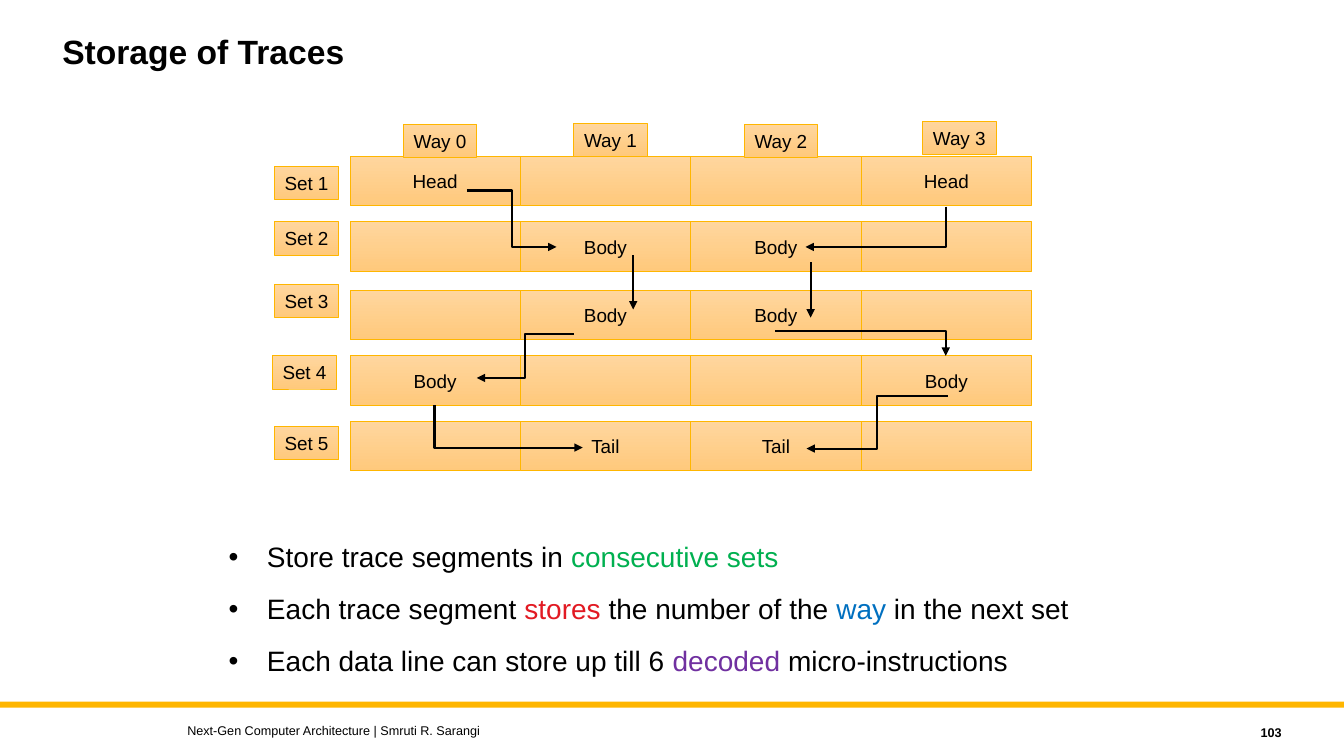
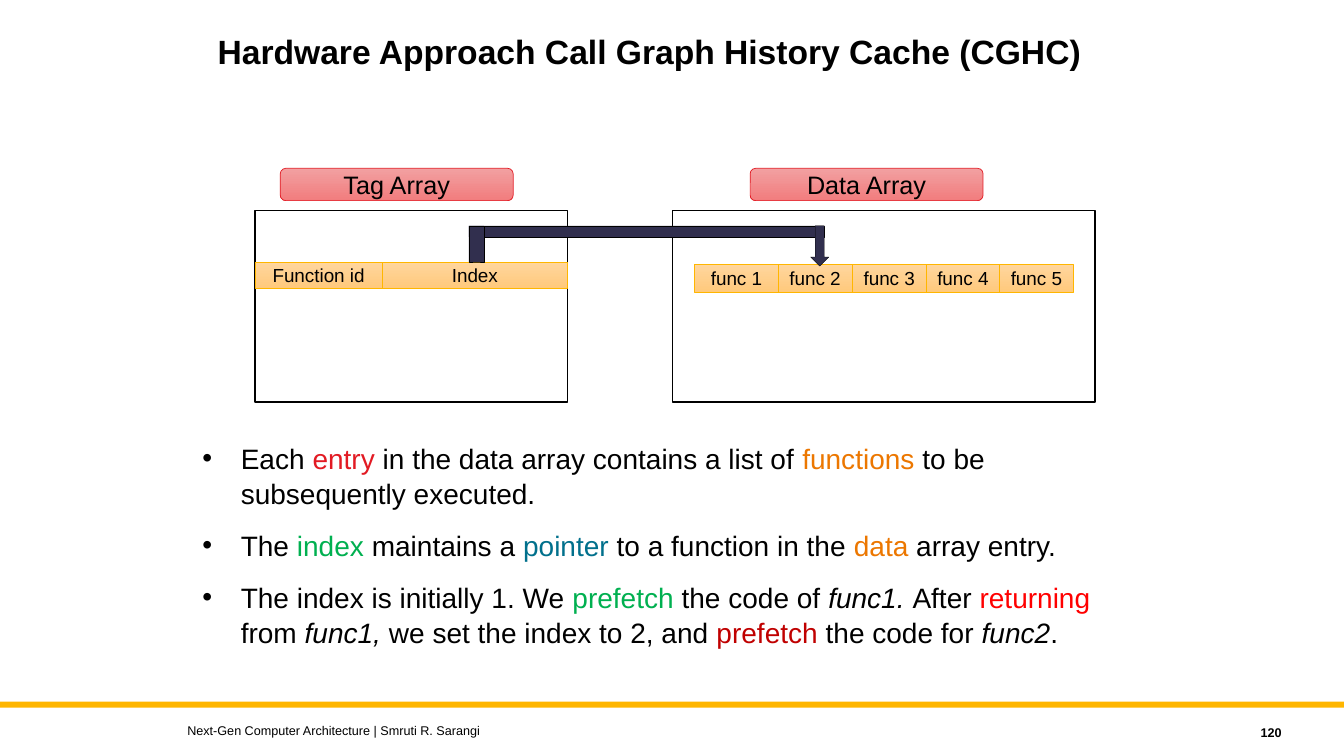
"""Build two slides on trace storage and the call graph history cache."""
from dataclasses import dataclass
from typing import Any, NamedTuple

from lxml.etree import SubElement
from pptx import Presentation
from pptx.dml.color import RGBColor
from pptx.enum.shapes import MSO_CONNECTOR, MSO_SHAPE
from pptx.enum.text import MSO_ANCHOR, PP_ALIGN
from pptx.oxml.ns import qn
from pptx.util import Inches, Pt

BLACK = RGBColor(0x00, 0x00, 0x00)
WHITE = RGBColor(0xFF, 0xFF, 0xFF)
AMBER = RGBColor(0xFF, 0xB6, 0x00)
CRIMSON = RGBColor(0xE2, 0x1A, 0x23)
RED = RGBColor(0xFF, 0x00, 0x00)
DARK_RED = RGBColor(0xC0, 0x00, 0x00)
GREEN = RGBColor(0x00, 0xB0, 0x50)
BLUE = RGBColor(0x00, 0x70, 0xC0)
TEAL = RGBColor(0x01, 0x70, 0x8C)
PURPLE = RGBColor(0x70, 0x30, 0xA0)
ORANGE = RGBColor(0xEC, 0x77, 0x00)
NAVY = RGBColor(0x31, 0x2F, 0x4E)
AMBER_FADE = (RGBColor(0xFF, 0xD6, 0x9E), RGBColor(0xFF, 0xC9, 0x7C))
RED_FADE = (RGBColor(0xF2, 0xA0, 0xA1), RGBColor(0xF2, 0x7D, 0x7E))

FONT = "Arial"
FOOTER = "Next-Gen Computer Architecture | Smruti R. Sarangi"
CELL_W, CELL_H = 1.69, 0.49
GRID_LEFT = 3.47
ROW_TOPS = (1.55, 2.2, 2.88, 3.53, 4.18)


class Span(NamedTuple):
    text: str
    color: RGBColor = BLACK
    italic: bool = False


class Box(NamedTuple):
    left: float
    top: float
    width: float
    height: float


@dataclass(frozen=True)
class Style:
    fill: RGBColor | tuple[RGBColor, RGBColor]
    line: RGBColor | None = None
    weight: float = 0.5
    size: float = 13.5
    shape: MSO_SHAPE = MSO_SHAPE.RECTANGLE


@dataclass(frozen=True)
class Arrow:
    start: tuple[float, float]
    end: tuple[float, float]
    kind: str = "bentConnector3"
    down_first: bool = False


BAND = Style(AMBER)
CELL = Style(AMBER_FADE, AMBER)
HEADING = Style(RED_FADE, CRIMSON, size=18, shape=MSO_SHAPE.ROUNDED_RECTANGLE)
FRAME = Style(WHITE, BLACK, 1)
BAR = Style(NAVY, BLACK, 0.25)
POINTER = Style(NAVY, BLACK, 0.25, shape=MSO_SHAPE.DOWN_ARROW)

ROWS = (
    ("Head", "", "", "Head"),
    ("", "Body", "Body", ""),
    ("", "Body", "Body", ""),
    ("Body", "", "", "Body"),
    ("", "Tail", "Tail", ""),
)
WAYS = ((4, 1.23), (5.69, 1.22), (7.38, 1.23), (9.15, 1.2))
SETS = ((2.72, 1.65), (2.72, 2.2), (2.72, 2.82), (2.7, 3.53), (2.72, 4.23))
ARROWS = (
    Arrow((4.63, 1.89), (5.52, 2.45)),
    Arrow((5.69, 3.31), (4.73, 3.75)),
    Arrow((6.28, 2.53), (6.28, 3.07), "line"),
    Arrow((4.31, 4.02), (5.78, 4.44), "bentConnector2", True),
    Arrow((9.38, 2.05), (7.99, 2.45), "bentConnector2", True),
    Arrow((9.4, 3.93), (8, 4.45)),
    Arrow((7.69, 3.28), (9.38, 3.53), "bentConnector2"),
    Arrow((8.04, 2.6), (8.04, 3.15), "line"),
)
TRACE_POINTS = (
    (Span("Store trace segments in "), Span("consecutive sets", GREEN)),
    (Span("Each trace segment "), Span("stores", CRIMSON),
     Span(" the number of the "), Span("way", BLUE), Span(" in the next set")),
    (Span("Each data line can store up till 6 "), Span("decoded", PURPLE),
     Span(" micro-instructions")),
)
CACHE_POINTS = (
    (Span("Each "), Span("entry", CRIMSON),
     Span(" in the data array contains a list of "),
     Span("functions", ORANGE), Span(" to be subsequently executed.")),
    (Span("The "), Span("index", GREEN), Span(" maintains a "),
     Span("pointer", TEAL), Span(" to a function in the "),
     Span("data", ORANGE), Span(" array entry.")),
    (Span("The index is initially 1. We "), Span("prefetch", GREEN),
     Span(" the code of "), Span("func1. ", italic=True), Span("After "),
     Span("returning", RED), Span(" from "), Span("func1, ", italic=True),
     Span("we set the index to 2, and "), Span("prefetch", DARK_RED),
     Span(" the code for "), Span("func2", italic=True), Span(".")),
)
CACHE_CELLS = (
    ("Function id", Box(2.53, 2.6, 1.26, 0.26)),
    ("Index", Box(3.79, 2.6, 1.84, 0.26)),
)
FUNC_EDGES = (6.89, 7.72, 8.45, 9.19, 9.91, 10.65)


def assign(obj: Any, **values: Any) -> None:
    for name, value in values.items():
        setattr(obj, name, value)


def inches(box: Box) -> list[int]:
    return [Inches(v) for v in box]


def add_spans(p: Any, spans: tuple[Span, ...], size: float, bold: bool = False) -> None:
    for span in spans:
        r = p.add_run()
        r.text = span.text
        assign(r.font, name=FONT, size=Pt(size), bold=bold, italic=span.italic)
        r.font.color.rgb = span.color


def add_text(s: Any, box: Box, text: str, size: float, bold: bool = False,
             anchor: MSO_ANCHOR = MSO_ANCHOR.MIDDLE, **layout: Any) -> None:
    tf = s.shapes.add_textbox(*inches(box)).text_frame
    assign(tf, word_wrap=True, vertical_anchor=anchor)
    p = tf.paragraphs[0]
    assign(p, **layout)
    add_spans(p, (Span(text),), size, bold)


def add_bullets(s: Any, box: Box, points: tuple[tuple[Span, ...], ...]) -> None:
    tf = s.shapes.add_textbox(*inches(box)).text_frame
    tf.word_wrap = True
    for i, spans in enumerate(points):
        p = tf.add_paragraph() if i else tf.paragraphs[0]
        pPr = p._p.get_or_add_pPr()
        pPr.set("marL", str(Inches(0.38)))
        pPr.set("indent", str(-Inches(0.38)))
        SubElement(pPr, qn("a:buFont"), typeface=FONT)
        SubElement(pPr, qn("a:buChar"), char="•")
        assign(p, space_before=Pt(12 if i else 0), line_spacing=1.05)
        add_spans(p, spans, 20)


def add_box(s: Any, box: Box, style: Style, text: str = "") -> None:
    sp = s.shapes.add_shape(style.shape, *inches(box))
    sp.shadow.inherit = False
    if isinstance(style.fill, RGBColor):
        sp.fill.solid()
        sp.fill.fore_color.rgb = style.fill
    else:
        sp.fill.gradient()
        sp.fill.gradient_angle = 270
        for stop, color in zip(sp.fill.gradient_stops, style.fill):
            stop.color.rgb = color
    if style.line is None:
        sp.line.fill.background()
    else:
        sp.line.color.rgb = style.line
        sp.line.width = Pt(style.weight)
    if text:
        tf = sp.text_frame
        assign(tf, word_wrap=False, vertical_anchor=MSO_ANCHOR.MIDDLE,
               margin_left=0, margin_right=0, margin_top=0, margin_bottom=0)
        p = tf.paragraphs[0]
        p.alignment = PP_ALIGN.CENTER
        add_spans(p, (Span(text),), style.size)


def add_arrow(s: Any, arrow: Arrow) -> None:
    (x1, y1), (x2, y2) = arrow.start, arrow.end
    turn = 0
    if arrow.down_first:
        turn = 270 if x2 > x1 else 90
        mid_x, mid_y = (x1 + x2) / 2, (y1 + y2) / 2
        half_w, half_h = abs(y2 - y1) / 2, abs(x2 - x1) / 2
        side = 1 if x2 > x1 else -1
        x1, x2 = mid_x + side * half_w, mid_x - side * half_w
        y1, y2 = mid_y - half_h, mid_y + half_h
    kind = MSO_CONNECTOR.STRAIGHT if arrow.kind == "line" else MSO_CONNECTOR.ELBOW
    cxn = s.shapes.add_connector(kind, *[Inches(v) for v in (x1, y1, x2, y2)])
    cxn.line.color.rgb = BLACK
    cxn.line.width = Pt(1.5)
    spPr = cxn.element.spPr
    spPr.find(qn("a:prstGeom")).set("prst", arrow.kind)
    if turn:
        spPr.find(qn("a:xfrm")).set("rot", str(turn * 60000))
    SubElement(spPr.find(qn("a:ln")), qn("a:tailEnd"), type="triangle")
    SubElement(spPr, qn("a:effectLst"))


def add_slide(prs: Any, title: str, title_box: Box, number: int) -> Any:
    s = prs.slides.add_slide(prs.slide_layouts[6])
    add_box(s, Box(0, 6.96, 13.33, 0.06), BAND)
    add_text(s, title_box, title, 24, True, MSO_ANCHOR.TOP, line_spacing=0.9)
    add_text(s, Box(1.76, 7.12, 8, 0.25), FOOTER, 9)
    add_text(s, Box(11.41, 7.14, 1.4, 0.25), str(number), 9, True,
             alignment=PP_ALIGN.RIGHT)
    return s


def build_traces(prs: Any) -> None:
    s = add_slide(prs, "Storage of Traces", Box(0.52, 0.3, 10, 0.9), 103)
    add_bullets(s, Box(2.17, 5.29, 8.74, 1.2), TRACE_POINTS)
    for top, row in zip(ROW_TOPS, ROWS):
        for col, text in enumerate(row):
            add_box(s, Box(GRID_LEFT + col * CELL_W, top, CELL_W, CELL_H), CELL, text)
    for word, first, width, spots in (("Way", 0, 0.73, WAYS), ("Set", 1, 0.64, SETS)):
        for i, (left, top) in enumerate(spots, first):
            add_box(s, Box(left, top, width, 0.33), CELL, f"{word} {i}")
    for arrow in ARROWS:
        add_arrow(s, arrow)


def build_cache(prs: Any) -> None:
    s = add_slide(prs, "Hardware Approach Call Graph History Cache (CGHC)",
                  Box(2.06, 0.3, 9.31, 0.9), 120)
    add_bullets(s, Box(1.91, 4.31, 9.53, 2.29), CACHE_POINTS)
    for text, left, frame_left, frame_w in (("Tag Array", 2.78, 2.53, 3.1),
                                            ("Data Array", 7.44, 6.67, 4.19)):
        add_box(s, Box(frame_left, 2.09, frame_w, 1.9), FRAME)
        add_box(s, Box(left, 1.67, 2.31, 0.32), HEADING, text)
    for text, box in CACHE_CELLS:
        add_box(s, box, CELL, text)
    for i, (left, right) in enumerate(zip(FUNC_EDGES, FUNC_EDGES[1:]), 1):
        add_box(s, Box(left, 2.62, right - left, 0.28), CELL, f"func {i}")
    add_box(s, Box(4.65, 2.24, 3.52, 0.11), BAR)
    add_box(s, Box(4.65, 2.24, 0.15, 0.36), BAR)
    add_box(s, Box(8.04, 2.24, 0.18, 0.4), POINTER)


def main() -> None:
    prs = Presentation()
    assign(prs, slide_width=Inches(13.33), slide_height=Inches(7.5))
    build_traces(prs)
    build_cache(prs)
    prs.save("out.pptx")


if __name__ == "__main__":
    main()
